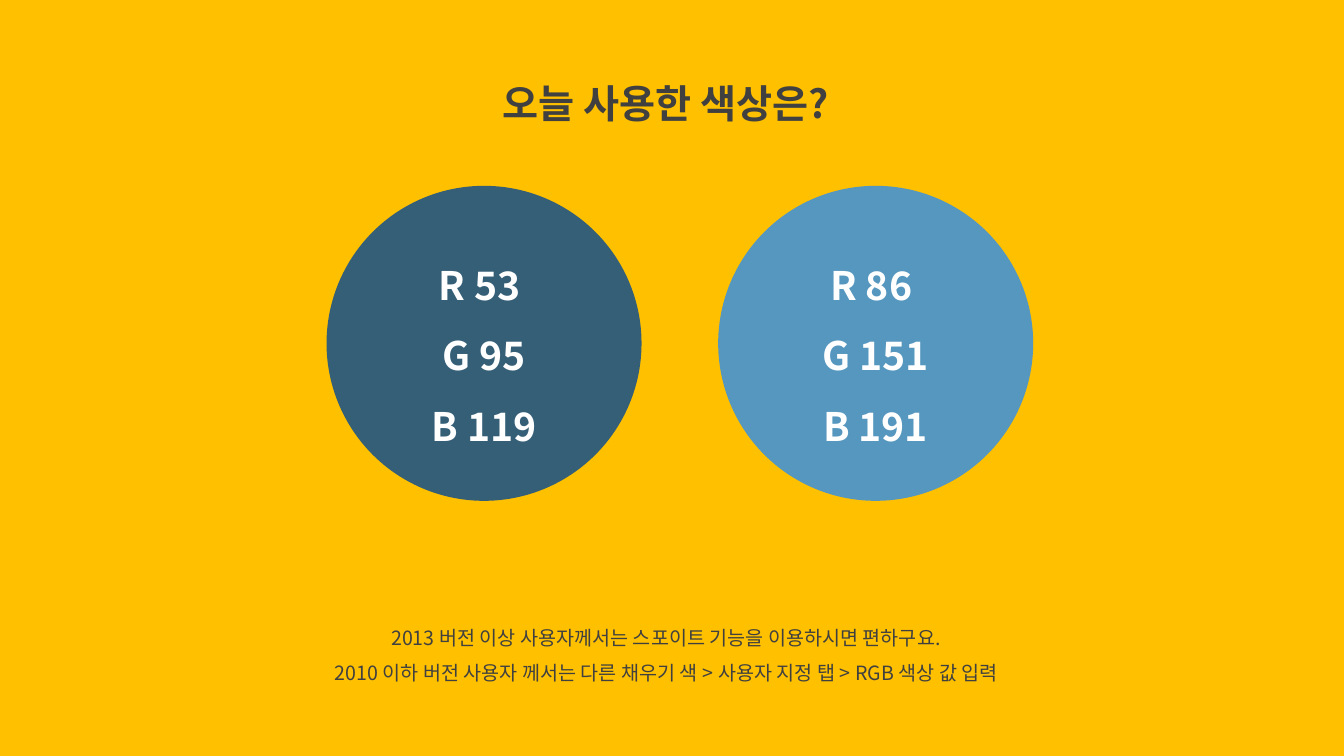
import dataclasses

import pptx
import pptx.dml.color
import pptx.enum.shapes
import pptx.enum.text
import pptx.oxml.ns
import pptx.util
from lxml import etree

PX = 9525  # EMU per px, 96 px to the inch


@dataclasses.dataclass(frozen=True)
class Theme:
    font: str = "Noto Sans CJK KR"
    background: str = "FFC000"
    ink: str = "404040"
    white: str = "FFFFFF"
    navy: str = "355F77"
    sky: str = "5697BF"
    large: int = 28
    small: int = 14
    line_spacing: float = 1.5


class SlideBuilder:
    def __init__(self, prs, theme):
        self.theme = theme
        self.s = prs.slides.add_slide(prs.slide_layouts[5])
        self.paint(self.s.background.fill, theme.background)

    def paint(self, fill, color):
        fill.solid()
        fill.fore_color.rgb = pptx.dml.color.RGBColor.from_string(color)

    def box(self, x, y, w, h):
        return [pptx.util.Emu(v * PX) for v in (x, y, w, h)]

    def add_lines(self, sp, lines, size, color, bold, anchor):
        tf = sp.text_frame
        tf.word_wrap = True
        tf.auto_size = pptx.enum.text.MSO_AUTO_SIZE.NONE
        tf.vertical_anchor = anchor
        for i, line in enumerate(lines):
            p = tf.add_paragraph() if i else tf.paragraphs[0]
            p.alignment = pptx.enum.text.PP_ALIGN.CENTER
            p.line_spacing = self.theme.line_spacing
            r = p.add_run()
            r.text = line
            r.font.size = pptx.util.Pt(size)
            r.font.bold = bold
            r.font.name = self.theme.font
            self.paint(r.font.fill, color)
            # Hangul takes the East Asian typeface
            ea = etree.SubElement(r.font._element, pptx.oxml.ns.qn("a:ea"))
            ea.set("typeface", self.theme.font)

    def title(self, text, *box):
        sp = self.s.shapes.title
        sp.left, sp.top, sp.width, sp.height = self.box(*box)
        self.add_lines(sp, [text], self.theme.large, self.theme.ink, True,
                       pptx.enum.text.MSO_ANCHOR.TOP)

    def note(self, lines, *box):
        sp = self.s.shapes.add_textbox(*self.box(*box))
        self.add_lines(sp, lines, self.theme.small, self.theme.ink, False,
                       pptx.enum.text.MSO_ANCHOR.TOP)

    def circle(self, lines, color, x, y, diameter):
        sp = self.s.shapes.add_shape(pptx.enum.shapes.MSO_SHAPE.OVAL,
                                     *self.box(x, y, diameter, diameter))
        sp.shadow.inherit = False
        self.paint(sp.fill, color)
        sp.line.fill.background()
        self.add_lines(sp, lines, self.theme.large, self.theme.white, True,
                       pptx.enum.text.MSO_ANCHOR.MIDDLE)


def main():
    prs = pptx.Presentation()
    prs.slide_width = pptx.util.Emu(1280 * PX)
    prs.slide_height = pptx.util.Emu(720 * PX)
    theme = Theme()
    slide = SlideBuilder(prs, theme)

    # Heading
    slide.title("오늘 사용한 색상은?", 412, 48, 444, 69)

    # How to apply the colours
    slide.note(["2013 버전 이상 사용자께서는 스포이트 기능을 이용하시면 편하구요.",
                "2010 이하 버전 사용자 께서는 다른 채우기 색 > 사용자 지정 탭 > RGB 색상 값 입력"],
               251, 580, 767, 78)

    # Colour swatches
    swatches = [(theme.navy, ["R 53 ", "G 95", "B 119"]),
                (theme.sky, ["R 86 ", "G 151", "B 191"])]
    for i, (color, lines) in enumerate(swatches):
        slide.circle(lines, color, 311 + i * 373, 177, 300)

    prs.save("out.pptx")


if __name__ == "__main__":
    main()
